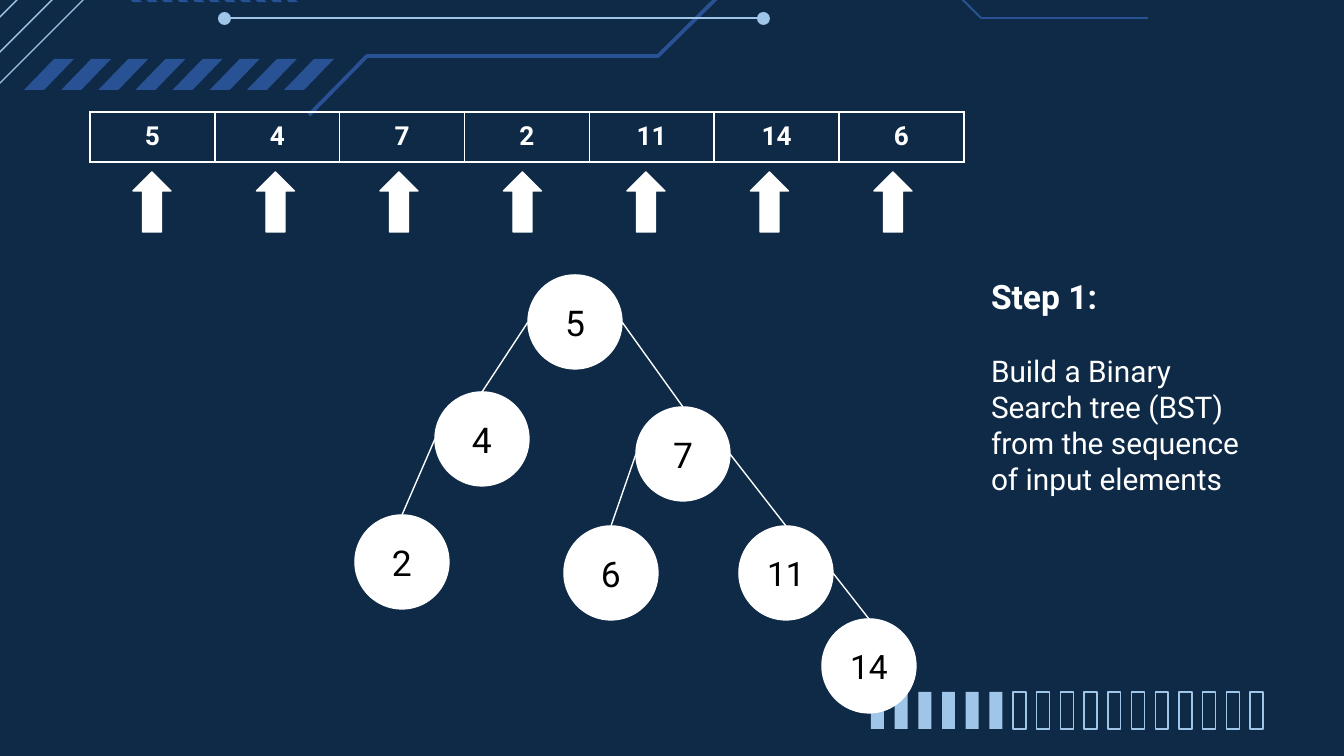
from dataclasses import dataclass

from lxml import etree
from pptx import Presentation
from pptx.dml.color import RGBColor
from pptx.enum.shapes import MSO_CONNECTOR, MSO_SHAPE
from pptx.enum.text import MSO_ANCHOR, MSO_AUTO_SIZE, PP_ALIGN
from pptx.oxml.ns import qn
from pptx.util import Pt

LEFT, CENTER = PP_ALIGN.LEFT, PP_ALIGN.CENTER
TOP, MIDDLE = MSO_ANCHOR.TOP, MSO_ANCHOR.MIDDLE
NO_FIT = MSO_AUTO_SIZE.NONE
OVAL, RECT, ARROW = MSO_SHAPE.OVAL, MSO_SHAPE.RECTANGLE, MSO_SHAPE.UP_ARROW
STRAIGHT = MSO_CONNECTOR.STRAIGHT
WIDE, HIGH = 1344, 756
SCALE = 9144000 / WIDE

ITEMS = [5, 4, 7, 2, 11, 14, 6]
NODES = {
    5: (173, 0, None),
    4: (80, 117, 5),
    7: (281, 132, 5),
    2: (0, 240, 4),
    6: (209, 251, 7),
    11: (384, 251, 7),
    14: (467, 344, 11),
}
WIRES = [
    ("pale", 0.75, [(-26, 109), (171, -88), (348, -88), (422, -14), (604, -14), (711, -121), (812, -121)]),
    ("blue", 2, [(309, 115), (367, 56), (658, 56), (735, -20), (869, -20)]),
    ("blue", 1, [(786, -51), (912, -51), (981, 18), (1148, 18)]),
    ("pale", 0.75, [(223, 18), (759, 18)]),
    ("pale", 0.75, [(-58, 110), (140, -88)]),
    ("pale", 0.75, [(-82, 99), (116, -99)]),
]
SLASH = [(0, 31), (20, 31), (50, 0), (30, 0)]
NOTCH = [(25, 28), (10, 13), (24, 0), (14, 0), (0, 13), (16, 28)]


@dataclass(frozen=True)
class Theme:
    """Colours, font and type sizes of the slide."""
    back: str = "0E2A47"
    pale: str = "9FC5E8"
    blue: str = "285293"
    white: str = "FFFFFF"
    black: str = "000000"
    font: str = "Roboto"
    head: int = 18
    body: int = 16
    cell: int = 14
    node: int = 19
    small: int = 18
    thin: float = 0.75


THEME = Theme()


def px(size):
    """Turn px into EMU."""
    return round(size * SCALE)


def spread(first, last, count):
    """Return evenly spaced places from first to last."""
    return [first + (last - first) * i / (count - 1) for i in range(count)]


def paint(shape, fill=None, line=None, width=THEME.thin):
    """Set fill and line of a shape and drop its shadow."""
    shape.shadow.inherit = False
    if fill:
        shape.fill.solid()
        shape.fill.fore_color.rgb = RGBColor.from_string(fill)
    else:
        shape.fill.background()
    if line:
        shape.line.color.rgb = RGBColor.from_string(line)
        shape.line.width = Pt(width)
    else:
        shape.line.fill.background()


def form(slide, kind, box, fill=None, line=None):
    """Add a painted preset shape."""
    shape = slide.shapes.add_shape(kind, *map(px, box))
    paint(shape, fill, line)
    return shape


def trace(slide, x, y, points, close):
    """Add an outline whose points are relative to x and y."""
    pen = slide.shapes.build_freeform(*points[0], scale=SCALE)
    pen.add_line_segments(points[1:], close=close)
    return pen.convert_to_shape(px(x), px(y))


def write(frame, text, size, color, align, bold=False):
    """Put one formatted paragraph into a text frame."""
    para = frame.paragraphs[0]
    para.text = text
    para.alignment = align
    para.space_before = Pt(0)
    font = para.font
    font.name, font.size, font.bold = THEME.font, Pt(size), bold
    font.color.rgb = RGBColor.from_string(color)


def draw_top(slide, x, y):
    """Draw the wires, dots and stripes along the top edge."""
    for color, width, points in WIRES:
        paint(trace(slide, x, y, points, False), line=getattr(THEME, color), width=width)
    for left in (218, 757):
        form(slide, OVAL, (x + left, y + 12, 13, 13), THEME.pale)
    for first, last, count, top, points in ((24, 284, 8, 59, SLASH), (117, 273, 11, -26, NOTCH)):
        for left in spread(first, last, count):
            paint(trace(slide, x + left, y + top, points, True), THEME.blue)


def draw_bars(slide, x, y, width, height):
    """Draw the row of bars, the first six of them filled."""
    thick = 13
    for i, left in enumerate(spread(x, x + width - thick, 17)):
        fill, line = (THEME.pale, None) if i < 6 else (None, THEME.pale)
        form(slide, RECT, (left, y, thick, height), fill, line)


def edge_cell(cell):
    """Give a cell white borders."""
    props = cell._tc.get_or_add_tcPr()
    for side in ("a:lnL", "a:lnR", "a:lnT", "a:lnB"):
        line = etree.SubElement(props, qn(side), w=str(Pt(1)))
        fill = etree.SubElement(line, qn("a:solidFill"))
        etree.SubElement(fill, qn("a:srgbClr"), val=THEME.white)


def draw_list(slide, x, y, width, height):
    """Draw the table of input items with an arrow under each."""
    table = slide.shapes.add_table(1, len(ITEMS), *map(px, (x, y, width, height))).table
    table.first_row = table.horz_banding = False
    for cell, item in zip(table.iter_cells(), ITEMS):
        edge_cell(cell)
        cell.fill.background()
        cell.margin_left = cell.margin_right = cell.margin_top = cell.margin_bottom = px(9)
        write(cell.text_frame, str(item), THEME.cell, THEME.white, CENTER, True)
    for left in spread(x + 43, x + 784, len(ITEMS)):
        form(slide, ARROW, (left, y + height + 10, 38, 60), THEME.white, THEME.white)


def join(slide, start, end):
    """Add a thin white line between two points."""
    line = slide.shapes.add_connector(STRAIGHT, *map(px, start + end))
    line.line.color.rgb = RGBColor.from_string(THEME.white)
    line.line.width = Pt(THEME.thin)
    etree.SubElement(line._element.spPr, qn("a:effectLst"))


def draw_tree(slide, x, y):
    """Draw the search tree, smaller children on the left."""
    size = 94
    for key, (left, top, up) in NODES.items():
        node = form(slide, OVAL, (x + left, y + top, size, size), THEME.white, THEME.white)
        node.text_frame.vertical_anchor = MIDDLE
        write(node.text_frame, str(key), THEME.small if key > 9 else THEME.node, THEME.black, CENTER)
        if up is not None:
            far, high, _ = NODES[up]
            side = size if key > up else 0
            join(slide, (x + far + side, y + high + size // 2), (x + left + size // 2, y + top))


def fill_holder(holder, box, text, size, bold):
    """Place and fill a title or body placeholder."""
    holder.left, holder.top, holder.width, holder.height = map(px, box)
    frame = holder.text_frame
    frame.word_wrap, frame.auto_size, frame.vertical_anchor = True, NO_FIT, TOP
    frame.margin_left = frame.margin_right = frame.margin_top = frame.margin_bottom = px(13)
    props = frame.paragraphs[0]._p.get_or_add_pPr()
    props.set("marL", "0")
    props.set("indent", "0")
    etree.SubElement(props, qn("a:buNone"))
    write(frame, text, size, THEME.white, LEFT, bold)


def draw_step(slide, x, y, width):
    """Place the step heading and its text."""
    title, body = slide.placeholders
    fill_holder(title, (x, y, width, 66), "Step 1:", THEME.head, True)
    fill_holder(body, (x, y + 77, width, 204),
                "Build a Binary Search tree (BST) from the sequence of input elements", THEME.body, False)


def main():
    """Build and save the slide."""
    deck = Presentation()
    deck.slide_width, deck.slide_height = px(WIDE), px(HIGH)
    slide = deck.slides.add_slide(deck.slide_layouts[1])
    slide.background.fill.solid()
    slide.background.fill.fore_color.rgb = RGBColor.from_string(THEME.back)
    draw_top(slide, 0, 0)
    draw_bars(slide, 871, 692, 392, 37)
    draw_list(slide, 90, 112, 874, 50)
    draw_tree(slide, 355, 275)
    draw_step(slide, 978, 263, 300)
    deck.save("out.pptx")


if __name__ == "__main__":
    main()
